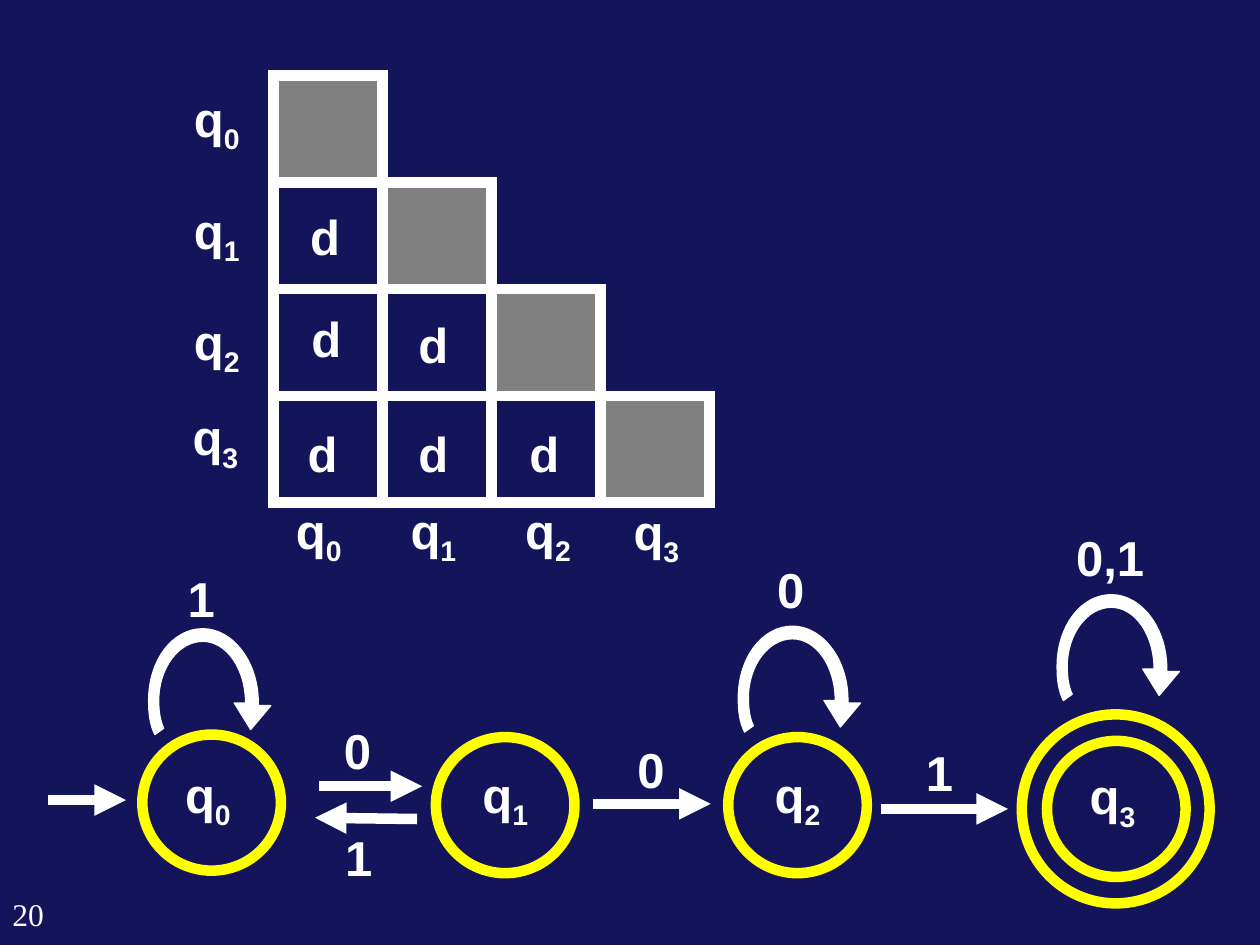
from typing import NamedTuple

from lxml import etree
from pptx import Presentation
from pptx.dml.color import RGBColor
from pptx.enum.shapes import MSO_CONNECTOR, MSO_SHAPE
from pptx.enum.text import MSO_AUTO_SIZE, PP_ALIGN
from pptx.oxml.ns import qn
from pptx.util import Inches, Pt

NAVY = RGBColor(0x14, 0x14, 0x5A)
WHITE = RGBColor(0xFF, 0xFF, 0xFF)
GRAY = RGBColor(0x80, 0x80, 0x80)
YELLOW = RGBColor(0xFF, 0xFF, 0x00)

RECT, OVAL = MSO_SHAPE.RECTANGLE, MSO_SHAPE.OVAL
STRAIGHT = MSO_CONNECTOR.STRAIGHT
CENTER, LEFT = PP_ALIGN.CENTER, PP_ALIGN.LEFT
GROW, FIXED = MSO_AUTO_SIZE.SHAPE_TO_FIT_TEXT, MSO_AUTO_SIZE.NONE

# Triangular table: four rows and columns of equal cells
STATES = 4
GRID_X, GRID_Y = 2.17, 0.6
CELL_W, CELL_H = 3.46 / STATES, 3.39 / STATES
LINE_W = Pt(6)


class Label(NamedTuple):
    text: str
    x: float
    y: float
    w: float = 0.41
    h: float = 0.57
    sub: str = ""


class Arrow(NamedTuple):
    x1: float
    y1: float
    x2: float
    y2: float


class Ring(NamedTuple):
    x: float
    y: float
    w: float = 1.1
    h: float = 1.08


def state(i: int, x: float, y: float) -> Label:
    return Label("q", x, y, 0.56, 0.63, str(i))


def mark(x: float, y: float) -> Label:
    return Label("d", x, y, 0.44)


ROW_LABELS = [state(0, 1.44, 0.65), state(1, 1.44, 1.54),
              state(2, 1.44, 2.42), state(3, 1.43, 3.18)]
COLUMN_LABELS = [state(0, 2.25, 3.92), state(1, 3.16, 3.92),
                 state(2, 4.07, 3.92), state(3, 4.93, 3.93)]
STATE_LABELS = [state(0, 1.37, 6.02), state(1, 3.73, 6.02),
                state(2, 6.05, 6.02), state(3, 8.55, 6.03)]
MARKS = [mark(2.36, 1.59), mark(2.37, 2.4), mark(3.22, 2.45),
         mark(2.34, 3.31), mark(3.22, 3.31), mark(4.1, 3.31)]
INPUTS = [Label("1", 1.39, 4.46), Label("0", 6.07, 4.39),
          Label("0,1", 8.44, 4.14, 0.74), Label("0", 2.63, 5.67),
          Label("1", 2.64, 6.52), Label("0", 4.96, 5.82),
          Label("1", 7.25, 5.84)]
ARROWS = [Arrow(0.38, 6.35, 1, 6.35), Arrow(2.53, 6.24, 3.35, 6.24),
          Arrow(3.31, 6.5, 2.5, 6.49), Arrow(4.71, 6.38, 5.64, 6.38),
          Arrow(6.99, 6.42, 8, 6.42)]
RINGS = [Ring(8.11, 5.67, 1.49, 1.5), Ring(8.31, 5.88), Ring(1.13, 5.83),
         Ring(3.46, 5.85), Ring(5.78, 5.85)]

# Self-loop outline, relative to its top left corner: arcs hold an anchor
# followed by three points for each Bezier curve, the head is straight
LOOP_CORNERS = [(1.18, 4.99), (5.86, 4.97), (8.39, 4.72)]
INNER_ARC = [(0.77, 0.59), (0.77, 0.32), (0.62, 0.1), (0.43, 0.1),
             (0.24, 0.1), (0.08, 0.31), (0.08, 0.57),
             (0.08, 0.65), (0.09, 0.73), (0.12, 0.79)]
OUTER_ARC = [(0.05, 0.84), (0.01, 0.76), (0, 0.67), (0, 0.57),
             (0, 0.25), (0.19, 0), (0.43, 0),
             (0.67, 0), (0.88, 0.27), (0.87, 0.61)]
HEAD = [(0.97, 0.61), (0.81, 0.8), (0.68, 0.59)]


def add_text(s, label: Label, *, size: int = 28, font: str = "Arial",
             bold: bool = True, align=CENTER, grow: bool = True) -> None:
    box = s.shapes.add_textbox(Inches(label.x), Inches(label.y),
                               Inches(label.w), Inches(label.h))
    tf = box.text_frame
    tf.word_wrap = not grow
    tf.auto_size = GROW if grow else FIXED
    p = tf.paragraphs[0]
    p.alignment = align
    for text in filter(None, (label.text, label.sub)):
        r = p.add_run()
        r.text = text
        r.font.size, r.font.name, r.font.bold = Pt(size), font, bold
        r.font.color.rgb = WHITE
    if label.sub:
        r._r.get_or_add_rPr().set("baseline", "-25000")


def add_outline(s, kind, x: float, y: float, w: float, h: float,
                color: RGBColor, fill: RGBColor | None = None) -> None:
    sp = s.shapes.add_shape(kind, Inches(x), Inches(y), Inches(w), Inches(h))
    sp.shadow.inherit = False
    if fill is None:
        sp.fill.background()
    else:
        sp.fill.solid()
        sp.fill.fore_color.rgb = fill
    sp.line.color.rgb = color
    sp.line.width = LINE_W
    etree.SubElement(sp.line._get_or_add_ln(), qn("a:miter"), lim="800000")


def add_arrow(s, a: Arrow) -> None:
    cx = s.shapes.add_connector(STRAIGHT, Inches(a.x1), Inches(a.y1),
                                Inches(a.x2), Inches(a.y2))
    cx.line.color.rgb = WHITE
    cx.line.width = LINE_W
    etree.SubElement(cx.line._get_or_add_ln(), qn("a:tailEnd"), type="triangle")
    etree.SubElement(cx._element.spPr, qn("a:effectLst"))


def bend(segments: list) -> None:
    """Turn each three straight segments into one cubic Bezier curve."""
    for i in range(0, len(segments), 3):
        curve = etree.Element(qn("a:cubicBezTo"))
        segments[i].addprevious(curve)
        for segment in segments[i:i + 3]:
            curve.append(segment[0])
            segment.getparent().remove(segment)


def add_loop(s, x: float, y: float) -> None:
    points = [(Inches(x + px), Inches(y + py))
              for px, py in INNER_ARC + OUTER_ARC + HEAD]
    builder = s.shapes.build_freeform(*points[0])
    builder.add_line_segments(points[1:], close=True)
    sp = builder.convert_to_shape()
    segments = list(sp._element.iter(qn("a:lnTo")))
    inner_end = len(INNER_ARC) - 1
    outer_end = inner_end + len(OUTER_ARC)
    bend(segments[:inner_end])
    bend(segments[inner_end + 1:outer_end])
    sp.shadow.inherit = False
    sp.fill.solid()
    sp.fill.fore_color.rgb = WHITE
    sp.line.color.rgb = WHITE
    sp.line.width = Pt(0.75)


def main() -> None:
    prs = Presentation()
    prs.slide_width, prs.slide_height = Inches(10), Inches(7.5)
    s = prs.slides.add_slide(prs.slide_layouts[6])
    s.background.fill.solid()
    s.background.fill.fore_color.rgb = NAVY

    # Slide number
    add_text(s, Label("20", 0, 7.05, 0.57, 0.45), size=18,
             font="Times New Roman", bold=False, align=LEFT, grow=False)

    # Table of distinguishable states, gray on the diagonal
    for row in range(STATES):
        for col in range(row + 1):
            add_outline(s, RECT, GRID_X + col * CELL_W, GRID_Y + row * CELL_H,
                        CELL_W, CELL_H, WHITE, GRAY if row == col else None)

    # Automaton
    for corner in LOOP_CORNERS:
        add_loop(s, *corner)
    for arrow in ARROWS:
        add_arrow(s, arrow)
    for ring in RINGS:
        add_outline(s, OVAL, *ring, YELLOW)

    # Labels of table and automaton
    for label in ROW_LABELS + COLUMN_LABELS + MARKS + STATE_LABELS + INPUTS:
        add_text(s, label)

    prs.save("out.pptx")


if __name__ == "__main__":
    main()
